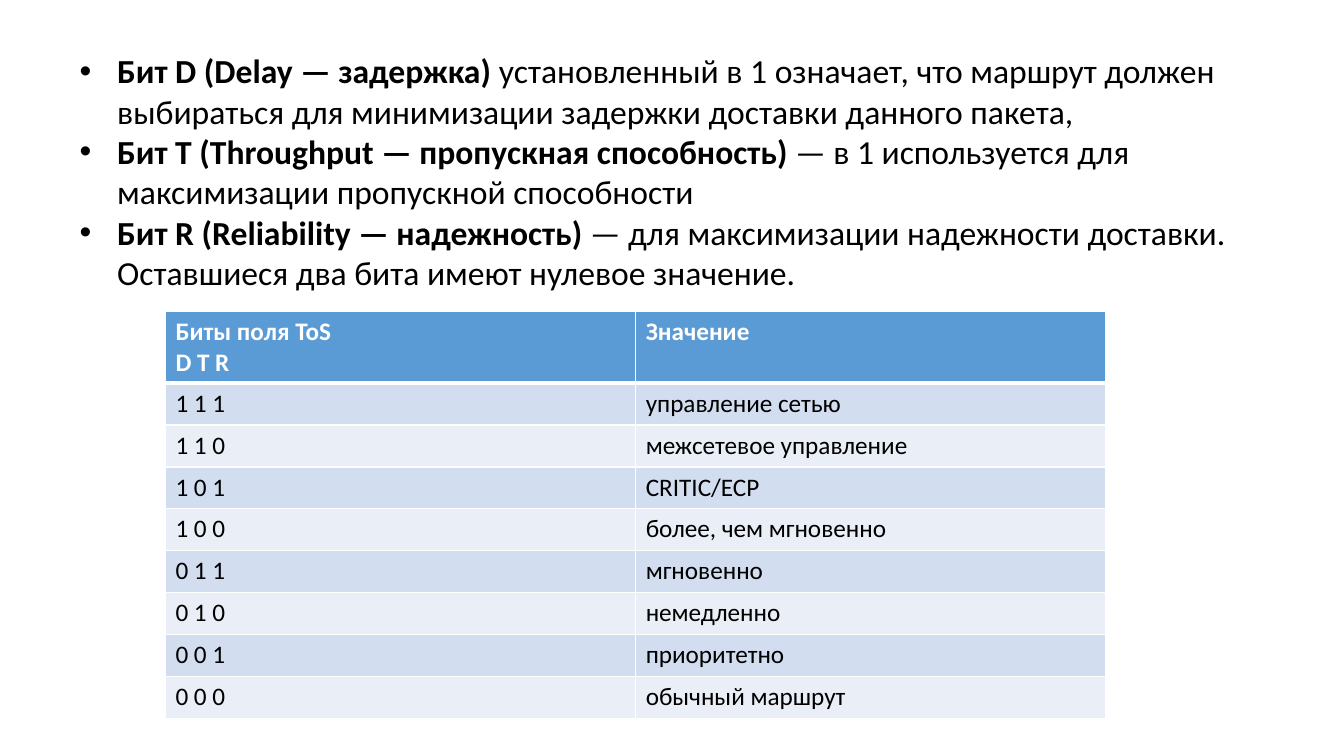
import dataclasses

import pptx
import pptx.dml.color
import pptx.enum.text
import pptx.oxml.ns
import pptx.util
from lxml import etree

Cm = pptx.util.Cm
Pt = pptx.util.Pt
qn = pptx.oxml.ns.qn


@dataclasses.dataclass(frozen=True)
class Theme:
    font: str = "Calibri"
    list_size: int = 24
    table_size: int = 18
    text: str = "000000"
    header_text: str = "FFFFFF"
    header_fill: str = "5B9BD5"
    bands: tuple = ("D2DEEF", "EAEFF7")
    border: str = "FFFFFF"
    thin: int = 1
    thick: int = 3


THEME = Theme()

BITS = [
    ("Бит D (Delay — задержка)",
     " установленный в 1 означает, что маршрут должен выбираться для минимизации задержки доставки данного пакета,"),
    ("Бит Т (Throughput — пропускная способность)",
     " — в 1 используется для максимизации пропускной способности"),
    ("Бит R (Reliability — надежность)",
     " — для максимизации надежности доставки. Оставшиеся два бита имеют нулевое значение."),
]

HEADER = (["Биты поля ToS", "D T R"], ["Значение"])
MEANINGS = ["управление сетью", "межсетевое управление", "CRITIC/ECP",
            "более, чем мгновенно", "мгновенно", "немедленно",
            "приоритетно", "обычный маршрут"]


def rgb(value):
    return pptx.dml.color.RGBColor.from_string(value)


def add_run(p, text, size, color, bold=False):
    r = p.add_run()
    r.text = text
    r.font.name = THEME.font
    r.font.size = Pt(size)
    r.font.bold = bold
    r.font.color.rgb = rgb(color)


def set_bullet(p, indent):
    pPr = p._p.get_or_add_pPr()
    pPr.set("marL", str(indent))
    pPr.set("indent", str(-indent))
    etree.SubElement(pPr, qn("a:buFont"), typeface="Arial")
    etree.SubElement(pPr, qn("a:buChar"), char="•")


def set_borders(cell, widths):
    tcPr = cell._tc.get_or_add_tcPr()
    for side, width in widths.items():
        ln = etree.SubElement(tcPr, qn(f"a:ln{side}"), w=str(Pt(width)))
        fill = etree.SubElement(ln, qn("a:solidFill"))
        etree.SubElement(fill, qn("a:srgbClr"), val=THEME.border)


def fill_cell(cell, lines, fill, color, bold, widths):
    set_borders(cell, widths)
    cell.fill.solid()
    cell.fill.fore_color.rgb = rgb(fill)
    tf = cell.text_frame
    for i, line in enumerate(lines):
        p = tf.add_paragraph() if i else tf.paragraphs[0]
        add_run(p, line, THEME.table_size, color, bold)


def bit_list(sp, left, top, width, height):
    sp.left, sp.top, sp.width, sp.height = left, top, width, height
    tf = sp.text_frame
    tf.word_wrap = True
    tf.auto_size = pptx.enum.text.MSO_AUTO_SIZE.NONE
    tf.vertical_anchor = pptx.enum.text.MSO_ANCHOR.TOP
    for i, (name, meaning) in enumerate(BITS):
        p = tf.add_paragraph() if i else tf.paragraphs[0]
        p.space_before = p.space_after = Pt(0)
        set_bullet(p, Cm(0.95))
        add_run(p, name, THEME.list_size, THEME.text, bold=True)
        add_run(p, meaning, THEME.list_size, THEME.text)


def priority_table(slide, left, top, width, height):
    count = len(MEANINGS)
    tbl = slide.shapes.add_table(count + 1, 2, left, top, width, height).table
    header_height = Cm(1.75)
    for col in tbl.columns:
        col.width = width // 2
    for i, row in enumerate(tbl.rows):
        row.height = (height - header_height) // count if i else header_height

    thin, thick = THEME.thin, THEME.thick
    for cell, lines in zip(tbl.rows[0].cells, HEADER):
        fill_cell(cell, lines, THEME.header_fill, THEME.header_text, True,
                  {"L": thin, "R": thin, "T": thin, "B": thick})
    for i, meaning in enumerate(MEANINGS):
        bits = " ".join(f"{count - 1 - i:03b}")
        widths = {"L": thin, "R": thin, "T": thin if i else thick, "B": thin}
        for cell, text in zip(tbl.rows[i + 1].cells, (bits, meaning)):
            fill_cell(cell, [text], THEME.bands[i % 2], THEME.text, False, widths)


def tos_slide(prs):
    slide = prs.slides.add_slide(prs.slide_layouts[1])
    title = slide.shapes.title._element
    title.getparent().remove(title)
    bit_list(slide.placeholders[1], Cm(1.75), Cm(1.14), Cm(30.38), Cm(6.4))
    priority_table(slide, Cm(4.17), Cm(7.85), Cm(23.7), Cm(10.2))


def main():
    prs = pptx.Presentation()
    prs.slide_width, prs.slide_height = Cm(33.87), Cm(19.05)
    tos_slide(prs)
    prs.save("out.pptx")


if __name__ == "__main__":
    main()
